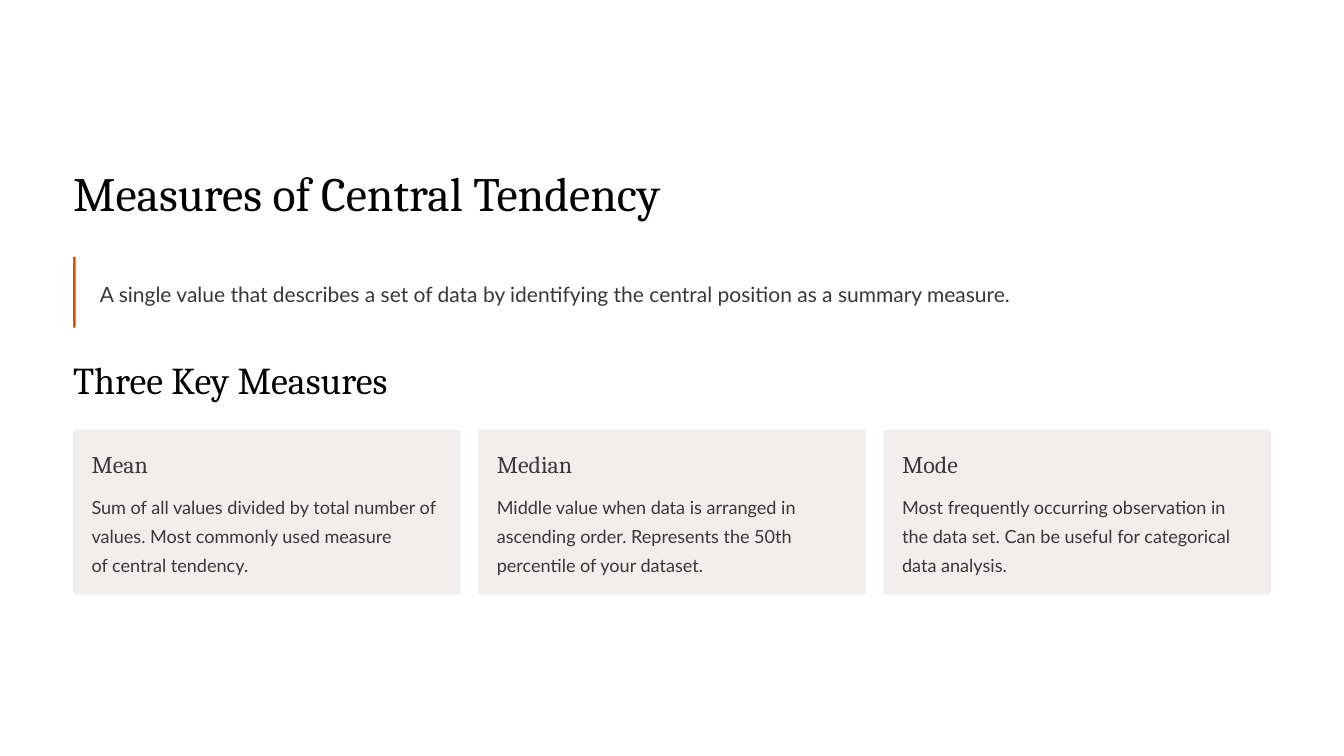
from pptx import Presentation
from pptx.dml.color import RGBColor
from pptx.enum.shapes import MSO_SHAPE as Shape
from pptx.util import Inches, Pt

WIDTH, HEIGHT = 16, 9
MARGIN, COLUMNS, GAP = 0.87, 3, 0.215
CONTENT = WIDTH - 2 * MARGIN
CARD_WIDTH = (CONTENT - (COLUMNS - 1) * GAP) / COLUMNS
CARD_TOP, CARD_HEIGHT, PADDING = 5.12, 1.96, 0.22


def color(value):
    return RGBColor.from_string(value)


class Page:
    """The current slide with its style; lengths are in inches."""
    heading_font, body_font = "Cambria", "Lato"
    black, gray, orange, panel = "020202", "383838", "E04F00", "F2EEEE"

    def __init__(self, deck):
        self.slide = deck.slides.add_slide(deck.slide_layouts[6])
        background = self.slide.background.fill
        background.solid()
        background.fore_color.rgb = color("FFFFFF")

    def column(self, index):
        return MARGIN + index * (CARD_WIDTH + GAP)

    def block(self, kind, left, top, width, height, fill):
        block = self.slide.shapes.add_shape(
            kind, Inches(left), Inches(top), Inches(width), Inches(height))
        block.shadow.inherit = False
        block.fill.solid()
        block.fill.fore_color.rgb = color(fill)
        block.line.fill.background()
        return block

    def text(self, lines, left, top, width, height, font, size, ink, spacing, wrap=False):
        box = self.slide.shapes.add_textbox(
            Inches(left), Inches(top), Inches(width), Inches(height))
        frame = box.text_frame
        frame.word_wrap = wrap
        frame.margin_left = frame.margin_right = 0
        frame.margin_top = frame.margin_bottom = 0
        frame.text = lines
        for para in frame.paragraphs:
            para.line_spacing = Pt(spacing)
            para.font.name = font
            para.font.size = Pt(size)
            para.font.color.rgb = color(ink)

    def heading(self, words, top, width, height, size, spacing):
        self.text(words, MARGIN, top, width, height,
                  self.heading_font, size, self.black, spacing)

    def definition(self, words, top, height):
        self.text(words, MARGIN + 0.32, top + 0.25, CONTENT - 0.32, 0.35,
                  self.body_font, 18, self.gray, 25)
        self.block(Shape.RECTANGLE, MARGIN, top, 0.03, height, self.orange)

    def card(self, index, title, body):
        left = self.column(index)
        card = self.block(Shape.ROUNDED_RECTANGLE, left, CARD_TOP,
                          CARD_WIDTH, CARD_HEIGHT, self.panel)
        card.adjustments[0] = 0.017
        inner = left + PADDING
        self.text(title, inner, CARD_TOP + PADDING, 2.85, 0.36,
                  self.heading_font, 20.5, self.gray, 25.5)
        self.text(body, inner, CARD_TOP + 0.7, CARD_WIDTH - 2 * PADDING, 1.04,
                  self.body_font, 15.5, self.gray, 25, wrap=True)


def main():
    deck = Presentation()
    deck.slide_width, deck.slide_height = Inches(WIDTH), Inches(HEIGHT)
    page = Page(deck)

    # Title and definition
    page.heading("Measures of Central Tendency", 1.92, 7.62, 0.71, 41, 51)
    page.definition("A single value that describes a set of data by identifying "
                    "the central position as a summary measure.", 3.06, 0.84)

    # Cards for the three measures
    page.heading("Three Key Measures", 4.22, 4.56, 0.57, 32.5, 41)
    measures = [
        ("Mean", "Sum of all values divided by total number of values. "
                 "Most commonly used measure\nof central tendency."),
        ("Median", "Middle value when data is arranged in ascending order. "
                   "Represents the 50th percentile of your dataset."),
        ("Mode", "Most frequently occurring observation in the data set. "
                 "Can be useful for categorical data analysis."),
    ]
    for index, (title, body) in enumerate(measures):
        page.card(index, title, body)

    deck.save("out.pptx")


if __name__ == "__main__":
    main()
